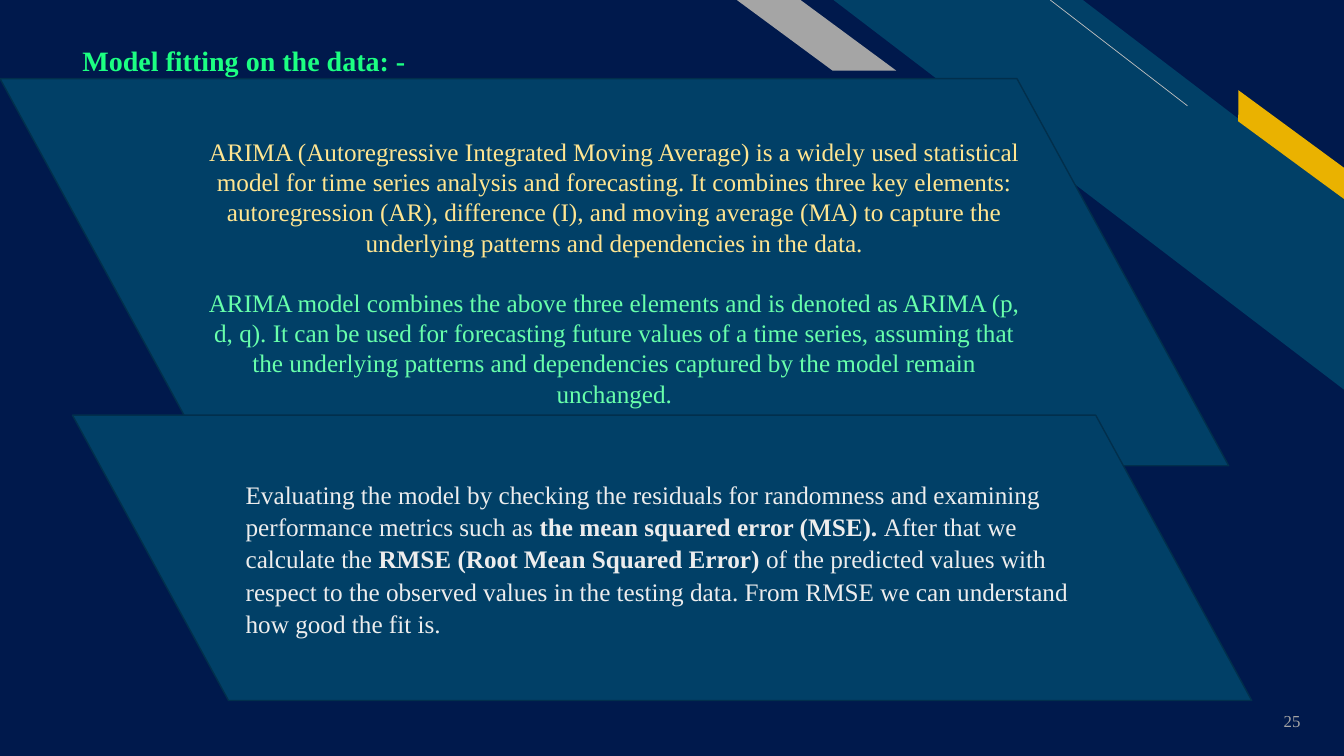
from lxml import etree
from pptx import Presentation
from pptx.dml.color import RGBColor
from pptx.enum import shapes, text
from pptx.oxml.ns import qn
from pptx.util import Pt

THEME = {
    "navy": "00194C", "teal": "014067", "edge": "012F4C", "gold": "EAB200",
    "grey": "A5A5A5", "thin": "BFBFBF", "green": "1CFF82",
    "cream": "FFE591", "mint": "68FFAB", "pale": "EDEDED",
    "serif": "Times New Roman", "heading": 20, "body": 18, "number": 12,
}
SHAPE = shapes.MSO_SHAPE
ALIGN = text.PP_ALIGN
MIDDLE = text.MSO_ANCHOR.MIDDLE

# Decorations: preset, box, adjustment, fill, rotation
STRIPE = (SHAPE.DIAGONAL_STRIPE, (595.4, 0, 365, 278.6), 0.512, "teal", 0)
GOLD_BAR = (SHAPE.PARALLELOGRAM, (869, 94.3, 106.6, 18), 0.72, "gold", 36.3)
GREY_BAR = (SHAPE.PARALLELOGRAM, (526.3, 0, 113.8, 50.4), 1.356, "grey", 0)
THIN_LINE = (848.2, 75.6, 750.2, 0)

# Paragraphs: (runs of (wording, bold), colour, paragraph format)
CENTRED = {"alignment": ALIGN.CENTER}
LABELS = [
    ((877.7, 500.4, 58.3, 28.8), {"word_wrap": True, "vertical_anchor": MIDDLE},
     "number", [([("25", False)], "grey", {"alignment": ALIGN.RIGHT})]),
    ((51.8, 27.5, 480.2, 31.7), {"word_wrap": True}, "heading",
     [([("Model fitting on the data: -", True)], "green", {})]),
]
PANELS = [
    ((0, 56.2, 877.7, 276.5), [
        ([("ARIMA (Autoregressive Integrated Moving Average) is a widely used "
           "statistical model for time series analysis and forecasting. It combines "
           "three key elements: autoregression (AR), difference (I), and moving "
           "average (MA) to capture the underlying patterns and dependencies in "
           "the data.", False)], "cream", CENTRED),
        ([("ARIMA model combines the above three elements and is denoted as ARIMA "
           "(p, d, q). It can be used for forecasting future values of a time "
           "series, assuming that the underlying patterns and dependencies captured "
           "by the model remain unchanged.", False)],
         "mint", {**CENTRED, "space_before": Pt(21.5)}),
    ]),
    ((51.8, 296.6, 842.4, 203.8), [
        ([("Evaluating the model by checking the residuals for randomness and "
           "examining performance metrics such as ", False),
          ("the mean squared error (MSE). ", True),
          ("After that we calculate the ", False),
          ("RMSE (Root Mean Squared Error)", True),
          (" of the predicted values with respect to the observed values in the "
           "testing data. From RMSE we can understand how good the fit is.", False)],
         "pale", {"alignment": ALIGN.LEFT, "line_spacing": 1.07, "space_after": Pt(8)}),
    ]),
]


def colour(name):
    return RGBColor.from_string(THEME[name])


def set_all(target, values):
    for name, value in values.items():
        setattr(target, name, value)


def write(frame, paragraphs, size, frame_format):
    set_all(frame, frame_format)
    for index, (runs, ink, paragraph_format) in enumerate(paragraphs):
        paragraph = frame.paragraphs[0] if index == 0 else frame.add_paragraph()
        set_all(paragraph, paragraph_format)
        for wording, bold in runs:
            run = paragraph.add_run()
            run.text = wording
            set_all(run.font, {"name": THEME["serif"], "size": Pt(THEME[size]), "bold": bold})
            run.font.color.rgb = colour(ink)


def add_mirrored(slide, preset, box, adjustment, fill, rotation=0):
    """Add a borderless preset shape flipped left to right."""
    shape = slide.shapes.add_shape(preset, *map(Pt, box))
    shape.adjustments[0] = adjustment
    shape.rotation = rotation
    shape.shadow.inherit = False
    shape.fill.solid()
    shape.fill.fore_color.rgb = colour(fill)
    shape.line.fill.background()
    shape.element.spPr.find(qn("a:xfrm")).set("flipH", "1")
    return shape


def add_thin_line(slide):
    line = slide.shapes.add_connector(shapes.MSO_CONNECTOR.STRAIGHT, *map(Pt, THIN_LINE))
    line.line.color.rgb = colour("thin")
    line.line.width = Pt(0.5)
    etree.SubElement(line.element.spPr, qn("a:effectLst"))


def main():
    deck = Presentation()
    set_all(deck, {"slide_width": Pt(960), "slide_height": Pt(540)})
    slide = deck.slides.add_slide(deck.slide_layouts[6])
    slide.background.fill.solid()
    slide.background.fill.fore_color.rgb = colour("navy")

    add_mirrored(slide, *STRIPE)
    add_thin_line(slide)
    add_mirrored(slide, *GOLD_BAR)
    add_mirrored(slide, *GREY_BAR)

    for box, frame_format, size, paragraphs in LABELS:
        label = slide.shapes.add_textbox(*map(Pt, box))
        write(label.text_frame, paragraphs, size, frame_format)

    for box, paragraphs in PANELS:
        panel = add_mirrored(slide, SHAPE.PARALLELOGRAM, box, 0.547, "teal")
        panel.line.color.rgb = colour("edge")
        panel.line.width = Pt(1)
        write(panel.text_frame, paragraphs, "body",
              {"word_wrap": True, "vertical_anchor": MIDDLE})

    deck.save("out.pptx")


if __name__ == "__main__":
    main()
